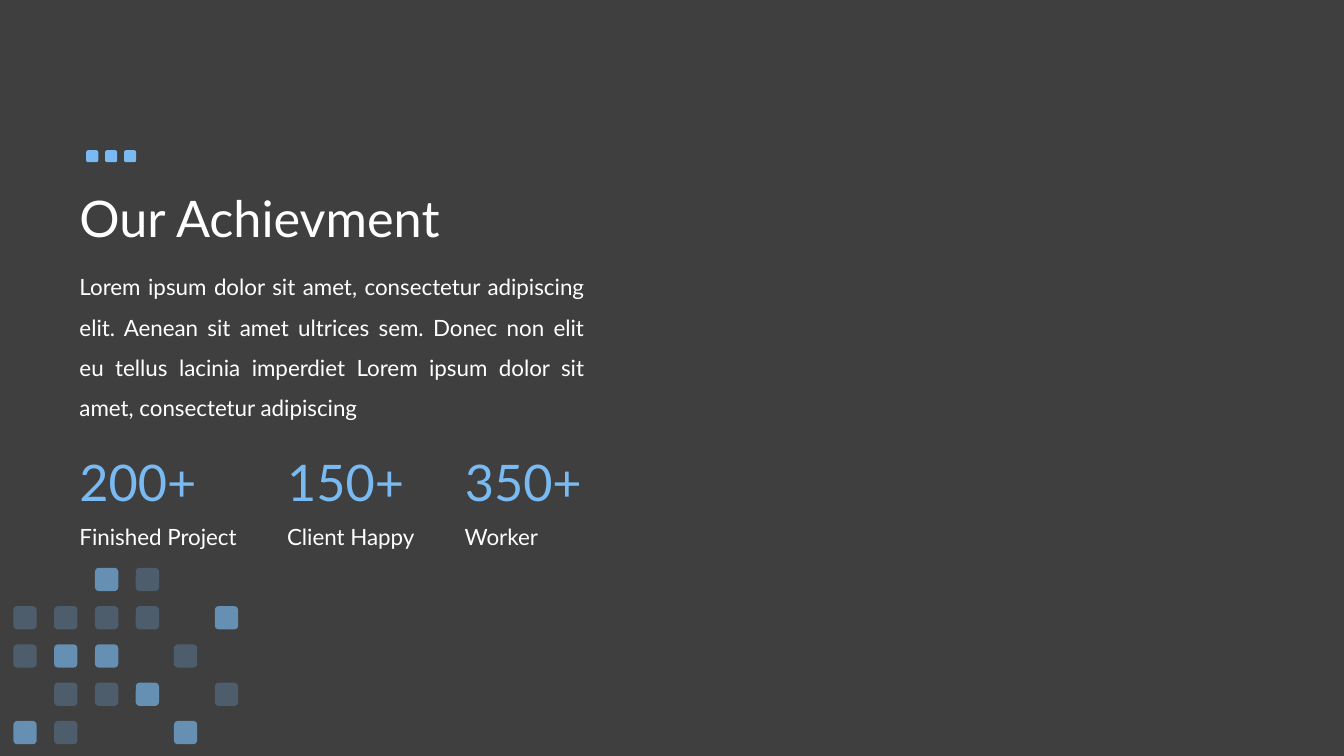
from lxml import etree
from pptx import Presentation
from pptx.dml.color import RGBColor
from pptx.enum.shapes import MSO_SHAPE
from pptx.enum.text import MSO_ANCHOR, PP_ALIGN
from pptx.oxml.ns import qn
from pptx.util import Pt

BACKGROUND = RGBColor(0x3F, 0x3F, 0x3F)
WHITE = RGBColor(0xFF, 0xFF, 0xFF)
BLUE = RGBColor(0x7A, 0xBA, 0xF2)
LEFT = 49.7

presentation = Presentation()
presentation.slide_width = Pt(960)
presentation.slide_height = Pt(540)
slide = presentation.slides.add_slide(presentation.slide_layouts[6])
slide.background.fill.solid()
slide.background.fill.fore_color.rgb = BACKGROUND


def add_text(text, left, top, width, height, size=16, color=WHITE,
             align=PP_ALIGN.LEFT, anchor=MSO_ANCHOR.TOP, line_spacing=1.0):
    box = slide.shapes.add_textbox(Pt(left), Pt(top), Pt(width), Pt(height))
    frame = box.text_frame
    frame.word_wrap = True
    frame.vertical_anchor = anchor
    paragraph = frame.paragraphs[0]
    paragraph.alignment = align
    paragraph.line_spacing = line_spacing
    run = paragraph.add_run()
    run.text = text
    run.font.name = "Lato"
    run.font.size = Pt(size)
    run.font.color.rgb = color


def add_square(left, top, side, opacity=100):
    """Add a rounded blue square; opacity is in percent."""
    square = slide.shapes.add_shape(
        MSO_SHAPE.ROUNDED_RECTANGLE, Pt(left), Pt(top), Pt(side), Pt(side))
    square.shadow.inherit = False
    square.line.fill.background()
    square.fill.solid()
    square.fill.fore_color.rgb = BLUE
    if opacity < 100:
        color = square.fill._xPr.find(qn("a:solidFill"))[0]
        etree.SubElement(color, qn("a:alpha")).set("val", str(opacity * 1000))


add_text("Our Achievment", LEFT, 105.8, 828, 104.4, size=36,
         anchor=MSO_ANCHOR.MIDDLE, line_spacing=0.9)
add_text("Lorem ipsum dolor sit amet, consectetur adipiscing elit. "
         "Aenean sit amet ultrices sem. Donec non elit eu tellus lacinia "
         "imperdiet Lorem ipsum dolor sit amet, consectetur adipiscing",
         LEFT, 182.2, 375, 119.5, align=PP_ALIGN.JUSTIFY, line_spacing=1.5)

ACHIEVEMENTS = [
    (LEFT, "200+", "Finished Project"),
    (198, "150+", "Client Happy"),
    (324.9, "350+", "Worker"),
]
for left, number, label in ACHIEVEMENTS:
    add_text(number, left, 319, 114.5, 51, size=36, color=BLUE)
    add_text(label, left, 370, 169, 26.6)

# Mosaic: "#" is a strong square, "+" a faint one, "." a gap
MOSAIC = [
    "..#+..",
    "++++.#",
    "+##.+.",
    ".++#.+",
    "#+..#.",
]
OPACITIES = {"#": 65, "+": 25}
COLUMN_LEFTS = [9.6, 38.7, 67.9, 97, 124.3, 153.5]
for row, marks in enumerate(MOSAIC):
    for left, mark in zip(COLUMN_LEFTS, marks):
        if mark in OPACITIES:
            add_square(left, 405.6 + 27.35 * row, 16.6, OPACITIES[mark])

for index in range(3):
    add_square(61.6 + 13.5 * index, 107.3, 8.6)

presentation.save("out.pptx")
